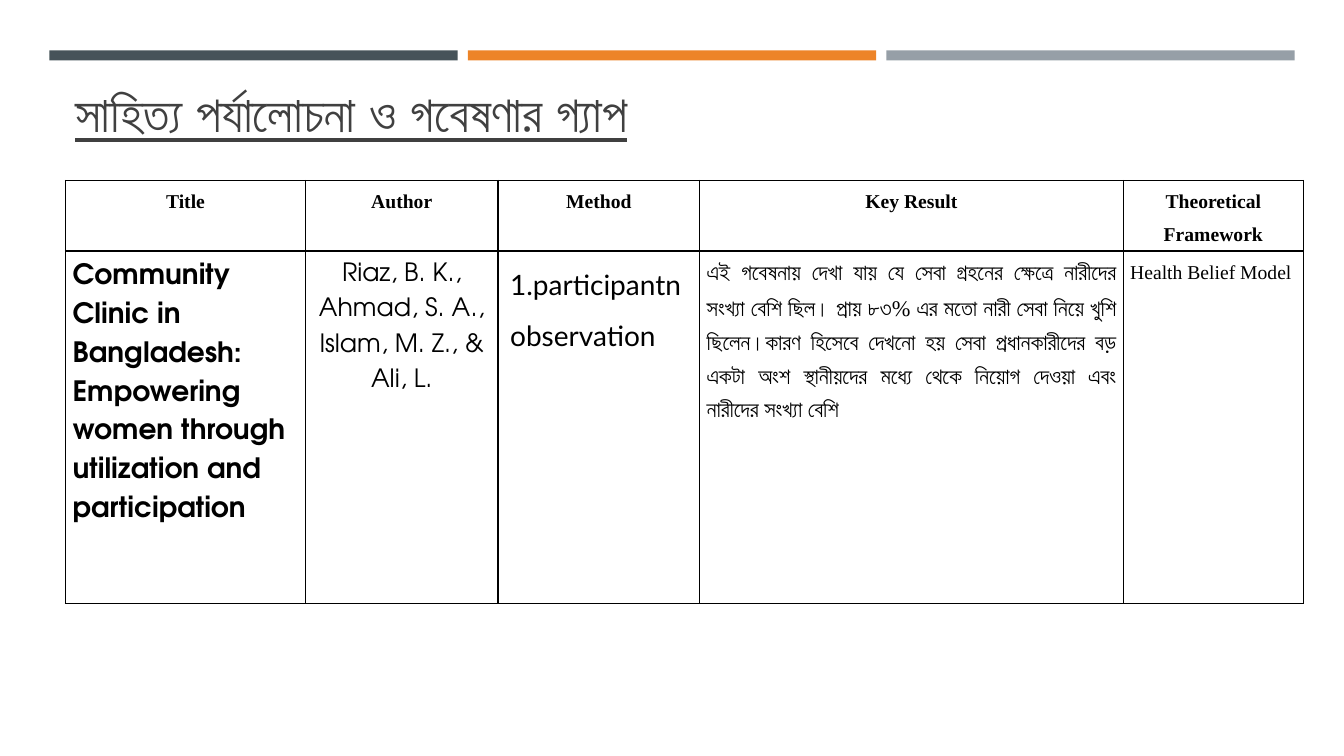
from lxml.etree import SubElement
from pptx import Presentation
from pptx.dml.color import RGBColor
from pptx.enum.shapes import MSO_SHAPE as SHAPE
from pptx.enum.text import MSO_ANCHOR as ANCHOR, PP_ALIGN as ALIGN
from pptx.oxml.ns import qn
from pptx.util import Inches, Pt

SANS, GOTHIC, SERIF = "Lato", "TeX Gyre Adventor", "Times New Roman"
BLACK, WHITE = "000000", "FFFFFF"
BAR_COLORS = ["465359", "ED8428", "969FA7"]
COLUMN_WIDTHS = [2.38, 1.91, 2, 4.2, 1.79]
ROW_HEIGHTS = [0.58, 3.01]
HEADERS = ["Title", "Author", "Method", "Key Result", "Theoretical Framework"]
KEY_RESULT = (
    "এই গবেষনায় দেখা যায় যে সেবা গ্রহনের ক্ষেত্রে নারীদের সংখ্যা বেশি ছিল। "
    "প্রায় ৮৩% এর মতো নারী সেবা নিয়ে খুশি ছিলেন।কারণ হিসেবে দেখনো হয় সেবা "
    "প্রধানকারীদের বড় একটা অংশ স্থানীয়দের মধ্যে থেকে নিয়োগ দেওয়া এবং "
    "নারীদের সংখ্যা বেশি "
)
# text, font, size, bold, alignment, side margin, space after
STUDY = [
    ("Community Clinic in Bangladesh: Empowering women through utilization "
     "and participation", GOTHIC, 20, True, ALIGN.LEFT, 0.07, 0),
    ("Riaz, B. K., Ahmad, S. A., Islam, M. Z., & Ali, L.",
     GOTHIC, 18, False, ALIGN.CENTER, 0.07, 0),
    ("1.participantnobservation", SANS, 20, False, ALIGN.JUSTIFY, 0.12, 6),
    (KEY_RESULT, SERIF, 16, False, ALIGN.JUSTIFY, 0.07, 0),
    ("Health Belief Model", SERIF, 14, False, ALIGN.JUSTIFY, 0.07, 0),
]


def rgb(color):
    return RGBColor.from_string(color)


def style_font(font, name, size, color, bold):
    font.name = name
    font.size = Pt(size)
    font.color.rgb = rgb(color)
    font.bold = bold


def add_rectangle(slide, left, top, width, height, color):
    box = slide.shapes.add_shape(
        SHAPE.RECTANGLE, Inches(left), Inches(top), Inches(width), Inches(height))
    box.shadow.inherit = False
    box.fill.solid()
    box.fill.fore_color.rgb = rgb(color)
    box.line.fill.background()


def add_title(slide, text):
    box = slide.shapes.add_textbox(Inches(0.65), Inches(0.6), Inches(12.02), Inches(0.86))
    frame = box.text_frame
    frame.word_wrap = True
    frame.vertical_anchor = ANCHOR.BOTTOM
    frame.text = text
    para = frame.paragraphs[0]
    para.space_after = Pt(6)
    font = para.runs[0].font
    style_font(font, SANS, 36, "404040", True)
    font.underline = True


def add_borders(cell):
    properties = cell._tc.get_or_add_tcPr()
    for side in ("a:lnL", "a:lnR", "a:lnT", "a:lnB"):
        line = SubElement(properties, qn(side), w=str(Pt(1)))
        fill = SubElement(line, qn("a:solidFill"))
        SubElement(fill, qn("a:srgbClr"), val=BLACK)


def fill_cell(cell, text, name, size, bold, alignment, margin, space_after):
    add_borders(cell)
    cell.fill.solid()
    cell.fill.fore_color.rgb = rgb(WHITE)
    cell.margin_left = cell.margin_right = Inches(margin)
    cell.margin_top = cell.margin_bottom = 0
    cell.text_frame.text = text
    para = cell.text_frame.paragraphs[0]
    para.alignment = alignment
    para.line_spacing = 1.5
    para.space_after = Pt(space_after)
    style_font(para.runs[0].font, name, size, BLACK, bold)


def add_review_table(slide):
    headers = [(text, SERIF, 14, True, ALIGN.CENTER, 0.07, 0) for text in HEADERS]
    rows = [headers, STUDY]
    table = slide.shapes.add_table(
        len(rows), len(HEADERS), Inches(0.65), Inches(1.79),
        Inches(sum(COLUMN_WIDTHS)), Inches(sum(ROW_HEIGHTS))).table
    for column, width in zip(table.columns, COLUMN_WIDTHS):
        column.width = Inches(width)
    for row, height in zip(table.rows, ROW_HEIGHTS):
        row.height = Inches(height)
    for row, contents in zip(table.rows, rows):
        for cell, content in zip(row.cells, contents):
            fill_cell(cell, *content)


def main():
    deck = Presentation()
    deck.slide_width, deck.slide_height = Inches(13.33), Inches(7.5)
    slide = deck.slides.add_slide(deck.slide_layouts[6])
    add_rectangle(slide, 0, 0, 13.33, 7.5, WHITE)
    add_title(slide, "সাহিত্য পর্যালোচনা ও গবেষণার গ্যাপ")
    for index, color in enumerate(BAR_COLORS):
        add_rectangle(slide, 0.49 + 4.15 * index, 0.5, 4.05, 0.1, color)
    add_review_table(slide)
    deck.save("out.pptx")


if __name__ == "__main__":
    main()
